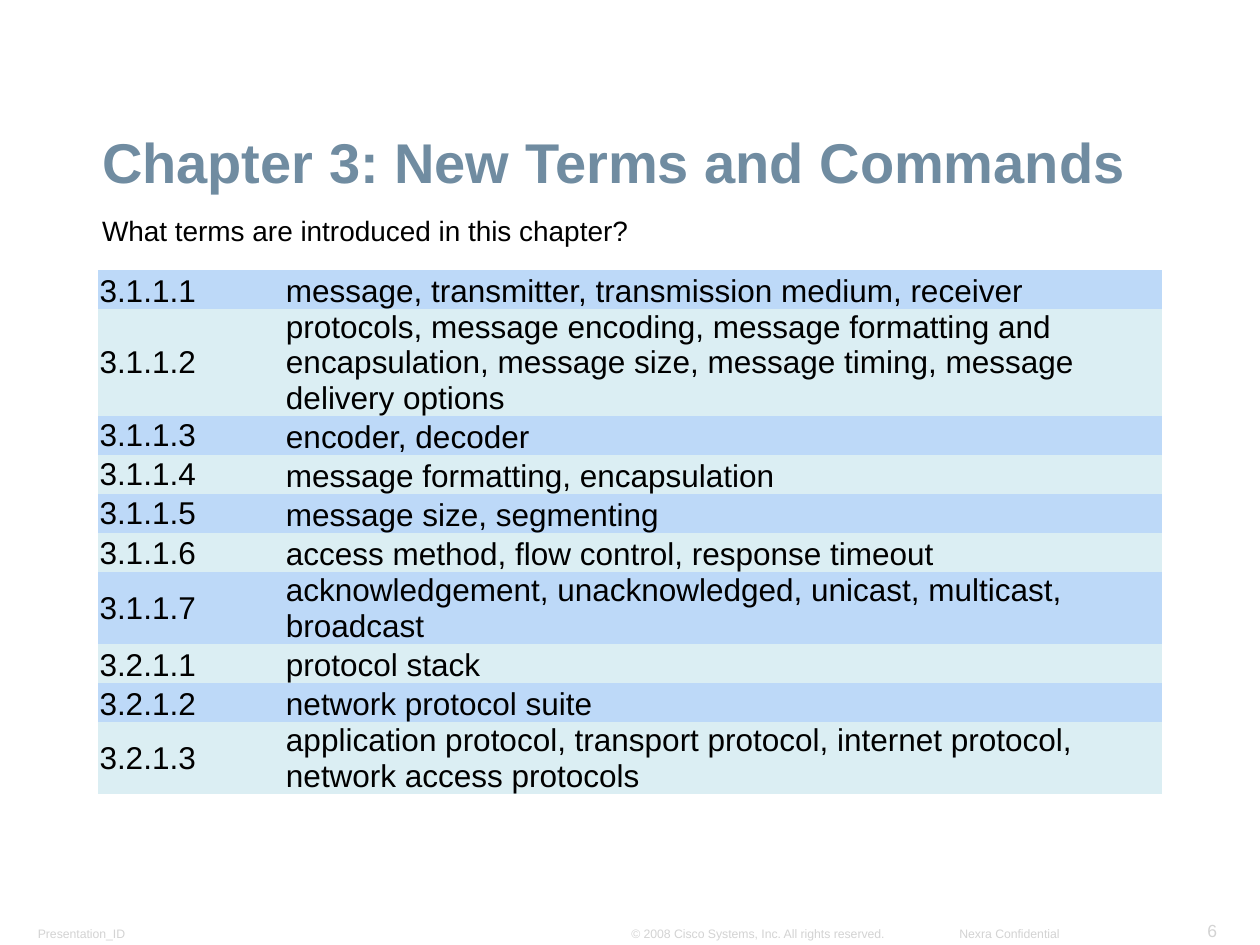
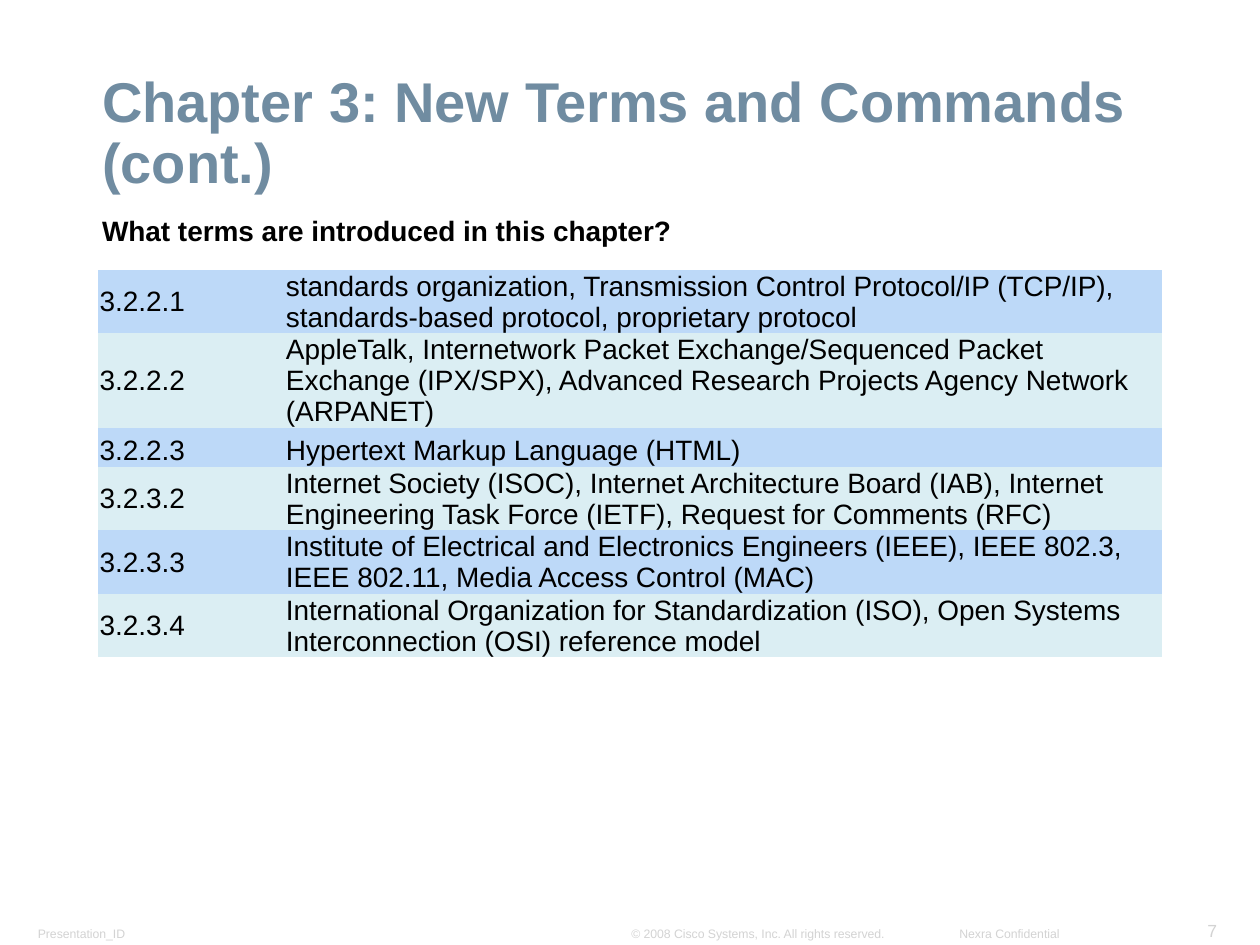
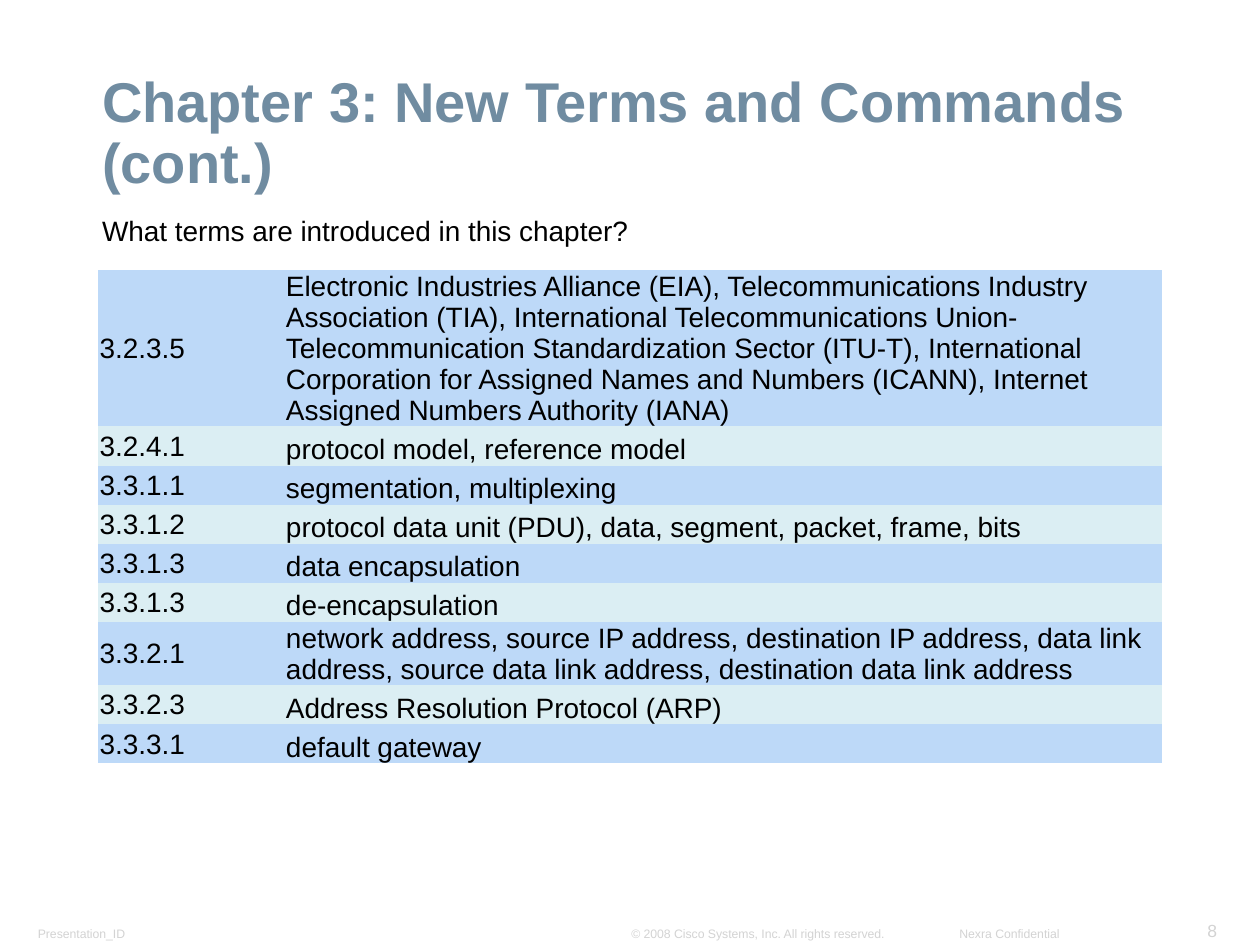
from pptx import Presentation
from pptx.dml.color import RGBColor
from pptx.enum.text import MSO_ANCHOR, MSO_AUTO_SIZE, PP_ALIGN
from pptx.oxml.ns import qn
from pptx.util import Inches, Pt

# Shared look
FONT = "Arial"
SLATE = RGBColor(0x70, 0x8C, 0xA1)
BLACK = RGBColor(0, 0, 0)
GREY = RGBColor(0xD3, 0xD3, 0xD3)
BANDS = [RGBColor(0xBD, 0xD9, 0xF8), RGBColor(0xDB, 0xEE, 0xF3)]
PLAIN_GRID = "{2D5ABB26-0587-4C30-8999-92F81FD0307C}"

# Boxes: left, top, width, height in inches
TITLE_BOX = (0.72, 0.67, 8.91, 0.92)
LEAD_BOX = (0.72, 1.67, 8.68, 0.54)
COLS = (1.48, 6.96)
ROW = 0.31

LEAD = "What terms are introduced in this chapter?"
HEAD = "Chapter 3: New Terms and Commands"

# Footer: text, box, size, alignment
FOOTER = [
    ("Presentation_ID", (0.21, 7.3, 1.05, 0.21), 7, PP_ALIGN.LEFT),
    ("© 2008 Cisco Systems, Inc. All rights reserved.",
     (4.92, 7.3, 2.21, 0.21), 7, PP_ALIGN.LEFT),
    ("Nexra Confidential", (7.54, 7.3, 0.96, 0.21), 7, PP_ALIGN.RIGHT),
]
NUMBER_BOX = (9.4, 7.25, 0.35, 0.26)

# Sections whose number sits at the foot of its cell
LOW = {"3.1.1.1", "3.2.1.1", "3.2.1.2", "3.2.2.3"}

TERMS_1 = [
    ("3.1.1.1", "message, transmitter, transmission medium, receiver"),
    ("3.1.1.2", "protocols, message encoding, message formatting and "
     "encapsulation, message size, message timing, message delivery options"),
    ("3.1.1.3", "encoder, decoder"),
    ("3.1.1.4", "message formatting, encapsulation"),
    ("3.1.1.5", "message size, segmenting"),
    ("3.1.1.6", "access method, flow control, response timeout"),
    ("3.1.1.7", "acknowledgement, unacknowledged, unicast, multicast, broadcast"),
    ("3.2.1.1", "protocol stack"),
    ("3.2.1.2", "network protocol suite"),
    ("3.2.1.3", "application protocol, transport protocol, internet protocol, "
     "network access protocols"),
]
TERMS_2 = [
    ("3.2.2.1", "standards organization, Transmission Control Protocol/IP "
     "(TCP/IP), standards-based protocol, proprietary protocol"),
    ("3.2.2.2", "AppleTalk, Internetwork Packet Exchange/Sequenced Packet "
     "Exchange (IPX/SPX), Advanced Research Projects Agency Network (ARPANET)"),
    ("3.2.2.3", "Hypertext Markup Language (HTML)"),
    ("3.2.3.2", "Internet Society (ISOC), Internet Architecture Board (IAB), "
     "Internet Engineering Task Force (IETF), Request for Comments (RFC)"),
    ("3.2.3.3", "Institute of Electrical and Electronics Engineers (IEEE), "
     "IEEE 802.3, IEEE 802.11, Media Access Control (MAC)"),
    ("3.2.3.4", "International Organization for Standardization (ISO), "
     "Open Systems Interconnection (OSI) reference model"),
]
TERMS_3 = [
    ("3.2.3.5", "Electronic Industries Alliance (EIA), Telecommunications "
     "Industry Association (TIA), International Telecommunications "
     "Union-Telecommunication Standardization Sector (ITU-T), International "
     "Corporation for Assigned Names and Numbers (ICANN), Internet Assigned "
     "Numbers Authority (IANA)"),
    ("3.2.4.1", "protocol model, reference model"),
    ("3.3.1.1", "segmentation, multiplexing"),
    ("3.3.1.2", "protocol data unit (PDU), data, segment, packet, frame, bits"),
    ("3.3.1.3", "data encapsulation"),
    ("3.3.1.3", "de-encapsulation"),
    ("3.3.2.1", "network address, source IP address, destination IP address, "
     "data link address, source data link address, destination data link address"),
    ("3.3.2.3", "Address Resolution Protocol (ARP)"),
    ("3.3.3.1", "default gateway"),
]

# Number, title, bold lead, text size, table height, terms
SLIDES = [
    (6, HEAD, False, 18, 4.3, TERMS_1),
    (7, HEAD + " (cont.)", True, 16, 3.3, TERMS_2),
    (8, HEAD + " (cont.)", False, 16, 4.06, TERMS_3),
]


def add_run(para, text, size, color, bold=False):
    run = para.add_run()
    run.text = text
    font = run.font
    font.name, font.size, font.bold = FONT, Pt(size), bold
    font.color.rgb = color


def set_frame(frame, anchor, wrap=True):
    frame.word_wrap = wrap
    frame.auto_size = MSO_AUTO_SIZE.NONE
    frame.vertical_anchor = anchor
    frame.margin_left = frame.margin_right = Inches(0.09)
    frame.margin_top = frame.margin_bottom = Inches(0.04)


def fill_holder(shape, box, anchor, spacing):
    """Place a placeholder and return its first paragraph."""
    shape.left, shape.top, shape.width, shape.height = map(Inches, box)
    set_frame(shape.text_frame, anchor)
    para = shape.text_frame.paragraphs[0]
    props = para._p.get_or_add_pPr()
    props.set("marL", "0")
    props.set("indent", "0")
    props.append(props.makeelement(qn("a:buNone"), {}))
    para.alignment = PP_ALIGN.LEFT
    para.line_spacing = spacing
    para.space_before = Pt(0)
    return para


def add_heading(slide, title, bold):
    para = fill_holder(slide.shapes.title, TITLE_BOX, MSO_ANCHOR.BOTTOM, 0.9)
    add_run(para, title, 32, SLATE, True)
    para = fill_holder(slide.placeholders[1], LEAD_BOX, MSO_ANCHOR.TOP, 0.95)
    add_run(para, LEAD, 16, BLACK, bold)


def add_terms(slide, left, top, height, size, terms):
    frame = slide.shapes.add_table(
        len(terms), len(COLS), Inches(left), Inches(top),
        Inches(sum(COLS)), Inches(height))
    table = frame.table
    table.first_row = table.horz_banding = False
    table._tbl.tblPr.find(qn("a:tableStyleId")).text = PLAIN_GRID
    for col, width in zip(table.columns, COLS):
        col.width = Inches(width)
    for i, texts in enumerate(terms):
        table.rows[i].height = Inches(ROW)
        for j, text in enumerate(texts):
            cell = table.cell(i, j)
            cell.fill.solid()
            cell.fill.fore_color.rgb = BANDS[i % 2]
            cell.margin_left = cell.margin_right = Inches(0.01)
            cell.margin_top, cell.margin_bottom = Inches(0.01), 0
            low = j == 1 or text in LOW
            cell.vertical_anchor = MSO_ANCHOR.BOTTOM if low else MSO_ANCHOR.MIDDLE
            add_run(cell.text_frame.paragraphs[0], text, size, BLACK)
    frame.height = Inches(height)


def add_footer(slide, number):
    page = (str(number), NUMBER_BOX, 10, PP_ALIGN.RIGHT)
    for text, box, size, align in FOOTER + [page]:
        frame = slide.shapes.add_textbox(*map(Inches, box)).text_frame
        set_frame(frame, MSO_ANCHOR.BOTTOM, wrap=False)
        para = frame.paragraphs[0]
        para.alignment = align
        add_run(para, text, size, GREY)


def main():
    deck = Presentation()
    deck.slide_width, deck.slide_height = Inches(10), Inches(7.5)
    for number, title, bold, size, height, terms in SLIDES:
        slide = deck.slides.add_slide(deck.slide_layouts[1])
        add_footer(slide, number)
        add_heading(slide, title, bold)
        add_terms(slide, 0.78, 2.14, height, size, terms)
    deck.save("out.pptx")


if __name__ == "__main__":
    main()
